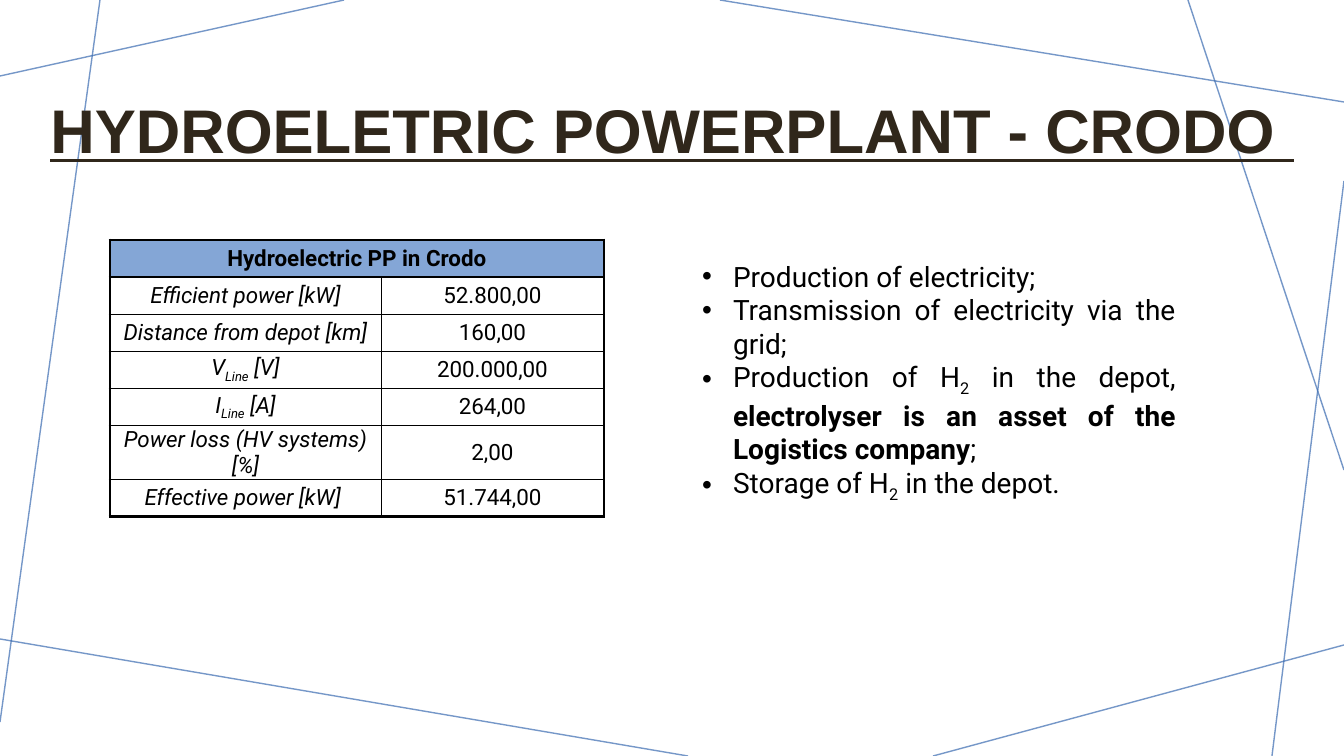
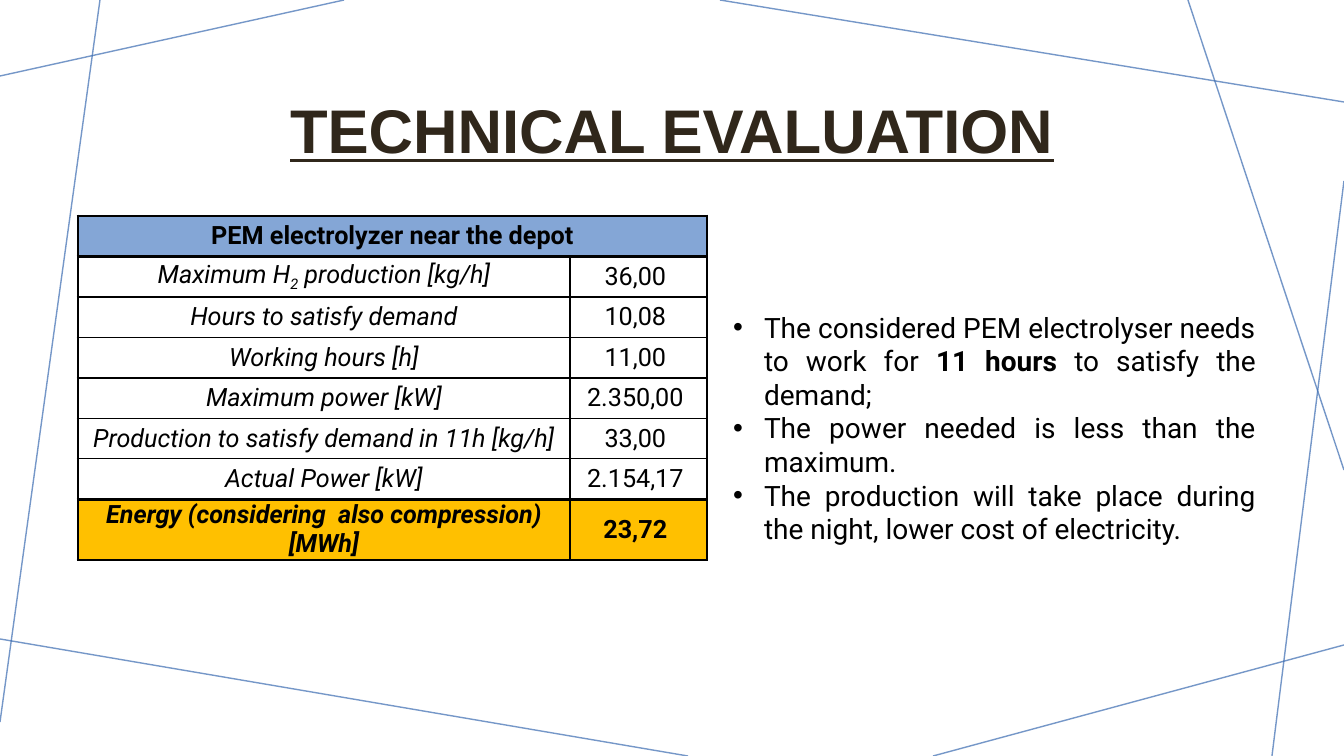
import pptx
import pptx.dml.color
import pptx.enum.shapes
import pptx.enum.text
import pptx.oxml
import pptx.oxml.ns
import pptx.util

EMU_PER_PIXEL = 914400 / 100.8
LINE_BLUE = pptx.dml.color.RGBColor(0x3B, 0x6C, 0xB1)
TITLE_BROWN = pptx.dml.color.RGBColor(0x30, 0x27, 0x1B)
HEADER_BLUE = pptx.dml.color.RGBColor(0x84, 0xA6, 0xD6)
TOTAL_AMBER = pptx.dml.color.RGBColor(0xFF, 0xC0, 0x00)
BLACK = pptx.dml.color.RGBColor(0, 0, 0)
TITLE_FONT, BODY_FONT = "Arial", "Roboto"
HEAVY = 2.25
ALIGN = pptx.enum.text.PP_ALIGN
ANCHOR = pptx.enum.text.MSO_ANCHOR
AUTO_SIZE = pptx.enum.text.MSO_AUTO_SIZE

BACKGROUND_LINES = [
    (344, 0, 0, 76), (100, 0, 0, 722), (688, 756, 0, 639), (1344, 645, 933, 756),
    (1344, 181, 1272, 756), (1344, 470, 1188, 0), (1344, 102, 720, 0),
]

# A text is a list of runs; a run is a string, or a string with "bold" or "sub".
SLIDES = [
    {
        "title": "HYDROELETRIC POWERPLANT - CRODO ",
        "title_box": (0, 58, 1344, 152),
        "table_box": (110, 240, 494, 260),
        "columns": (271, 223),
        "table_size": 16,
        "thin": 0.75,
        "divider": 0.75,
        "total_row": False,
        "header": "Hydroelectric PP in Crodo",
        "rows": [
            (["Efficient power [kW]"], "52.800,00"),
            (["Distance from depot [km]"], "160,00"),
            (["V", ("Line", "sub"), " [V]"], "200.000,00"),
            (["I", ("Line", "sub"), " [A]"], "264,00"),
            (["Power loss (HV systems) [%]"], "2,00"),
            (["Effective power [kW] "], "51.744,00"),
        ],
        "list_box": (692, 254, 494, 214),
        "list": [
            ["Production of electricity;"],
            ["Transmission of electricity via the grid;"],
            ["Production of H", ("2", "sub"), " in the depot, ",
             ("electrolyser is an asset of the Logistics company", "bold"), ";"],
            ["Storage of H", ("2", "sub"), " in the depot."],
        ],
    },
    {
        "title": "TECHNICAL EVALUATION",
        "title_box": (126, 58, 1092, 152),
        "table_box": (78, 216, 629, 324),
        "columns": (492, 137),
        "table_size": 18,
        "thin": 1,
        "divider": HEAVY,
        "total_row": True,
        "header": "PEM electrolyzer near the depot",
        "rows": [
            (["Maximum H", ("2", "sub"), " production [kg/h]"], "36,00 "),
            (["Hours to satisfy demand"], "10,08 "),
            (["Working hours [h]"], "11,00 "),
            (["Maximum power [kW]"], "2.350,00 "),
            (["Production to satisfy demand in 11h [kg/h]"], "33,00 "),
            (["Actual Power [kW]"], "2.154,17 "),
            (["Energy (considering  also compression) [MWh]"], "23,72 "),
        ],
        "list_box": (723, 305, 543, 214),
        "list": [
            ["The considered PEM electrolyser needs to work for ",
             ("11 hours ", "bold"), "to satisfy the demand;"],
            ["The power needed is less than the maximum."],
            ["The production will take place during the night, lower cost of electricity."],
        ],
    },
]


def px(*lengths):
    """Turn pixel lengths into a list of EMU lengths."""
    return [pptx.util.Emu(round(length * EMU_PER_PIXEL)) for length in lengths]


def add_runs(paragraph, runs, size, bold=False, italic=False):
    """Add black body-font runs, with bold and subscript where marked."""
    for item in runs:
        text, mark = (item, "") if isinstance(item, str) else item
        run = paragraph.add_run()
        run.text = text
        run.font.name = BODY_FONT
        run.font.size = pptx.util.Pt(size)
        run.font.bold = bold or mark == "bold"
        run.font.italic = italic
        run.font.color.rgb = BLACK
        if mark == "sub":
            run.font._element.set("baseline", "-25000")


presentation = pptx.Presentation()
presentation.slide_width, presentation.slide_height = px(1344, 756)
layout = presentation.slide_layouts[1]

for page in SLIDES:
    slide = presentation.slides.add_slide(layout)

    # The first slide's connectors move to the layout, which all slides share.
    if page is SLIDES[0]:
        for position, ends in enumerate(BACKGROUND_LINES):
            line = slide.shapes.add_connector(
                pptx.enum.shapes.MSO_CONNECTOR.STRAIGHT, *px(*ends))
            line.line.color.rgb = LINE_BLUE
            line.line.width = pptx.util.Pt(1)
            color = line.element.find(".//" + pptx.oxml.ns.qn("a:srgbClr"))
            color.append(pptx.oxml.parse_xml(
                f'<a:alpha {pptx.oxml.ns.nsdecls("a")} val="70000"/>'))
            line.element.spPr.append(pptx.oxml.parse_xml(
                f'<a:effectLst {pptx.oxml.ns.nsdecls("a")}/>'))
            layout.shapes.element.insert(2 + position, line.element)

    title = slide.shapes.title
    title.left, title.top, title.width, title.height = px(*page["title_box"])
    title.text_frame.auto_size = AUTO_SIZE.NONE
    title.text_frame.vertical_anchor = ANCHOR.MIDDLE
    paragraph = title.text_frame.paragraphs[0]
    paragraph.alignment = ALIGN.CENTER
    paragraph.line_spacing = 0.9
    run = paragraph.add_run()
    run.text = page["title"]
    run.font.name = TITLE_FONT
    run.font.size = pptx.util.Pt(44)
    run.font.bold = run.font.underline = True
    run.font.color.rgb = TITLE_BROWN

    last = len(page["rows"])
    table = slide.shapes.add_table(last + 1, 2, *px(*page["table_box"])).table
    table.first_row = table.horz_banding = False
    for column, width in zip(table.columns, px(*page["columns"])):
        column.width = width
    table.cell(0, 0).merge(table.cell(0, 1))
    grid = [([page["header"]], "")] + [(label, value) for label, value in page["rows"]]
    heavy_rules = {0, 1, last + 1} | ({last} if page["total_row"] else set())
    for row, (label, value) in enumerate(grid):
        total = page["total_row"] and row == last
        for column, runs in enumerate((label, [value] if value else [])):
            cell = table.cell(row, column)
            cell.margin_left = cell.margin_right = cell.margin_top = cell.margin_bottom = 0
            cell.vertical_anchor = ANCHOR.MIDDLE
            inner = HEAVY if row == 0 else page["divider"]
            borders = {
                "lnL": HEAVY if column == 0 else inner,
                "lnR": HEAVY if column == 1 else inner,
                "lnT": HEAVY if row in heavy_rules else page["thin"],
                "lnB": HEAVY if row + 1 in heavy_rules else page["thin"],
            }
            properties = cell._tc.get_or_add_tcPr()
            for side, width in borders.items():
                properties.append(pptx.oxml.parse_xml(
                    f'<a:{side} {pptx.oxml.ns.nsdecls("a")} w="{pptx.util.Pt(width)}">'
                    f'<a:solidFill><a:srgbClr val="{BLACK}"/></a:solidFill></a:{side}>'))
            if row == 0 or total:
                cell.fill.solid()
                cell.fill.fore_color.rgb = TOTAL_AMBER if total else HEADER_BLUE
            else:
                cell.fill.background()
            paragraph = cell.text_frame.paragraphs[0]
            paragraph.alignment = ALIGN.CENTER
            add_runs(paragraph, runs, page["table_size"], bold=row == 0 or total,
                     italic=row > 0 and column == 0)

    body = slide.placeholders[1]
    body.left, body.top, body.width, body.height = px(*page["list_box"])
    frame = body.text_frame
    frame.auto_size = AUTO_SIZE.SHAPE_TO_FIT_TEXT
    indent = px(31)[0]
    for number, runs in enumerate(page["list"]):
        paragraph = frame.add_paragraph() if number else frame.paragraphs[0]
        paragraph.alignment = ALIGN.JUSTIFY
        paragraph.space_before = pptx.util.Pt(0)
        properties = paragraph._p.get_or_add_pPr()
        properties.set("marL", str(indent))
        properties.set("indent", str(-indent))
        add_runs(paragraph, runs, 20)

presentation.save("out.pptx")
